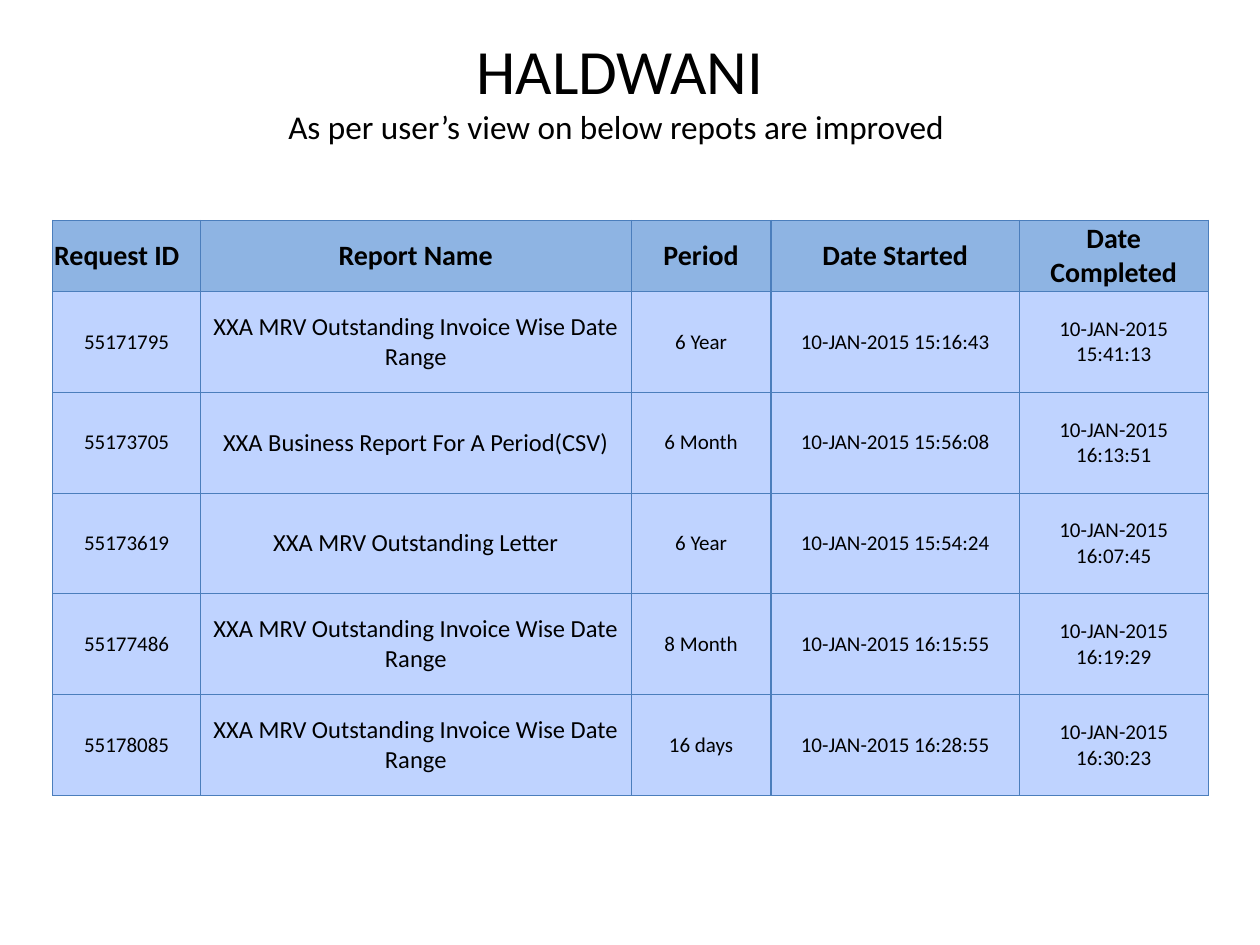
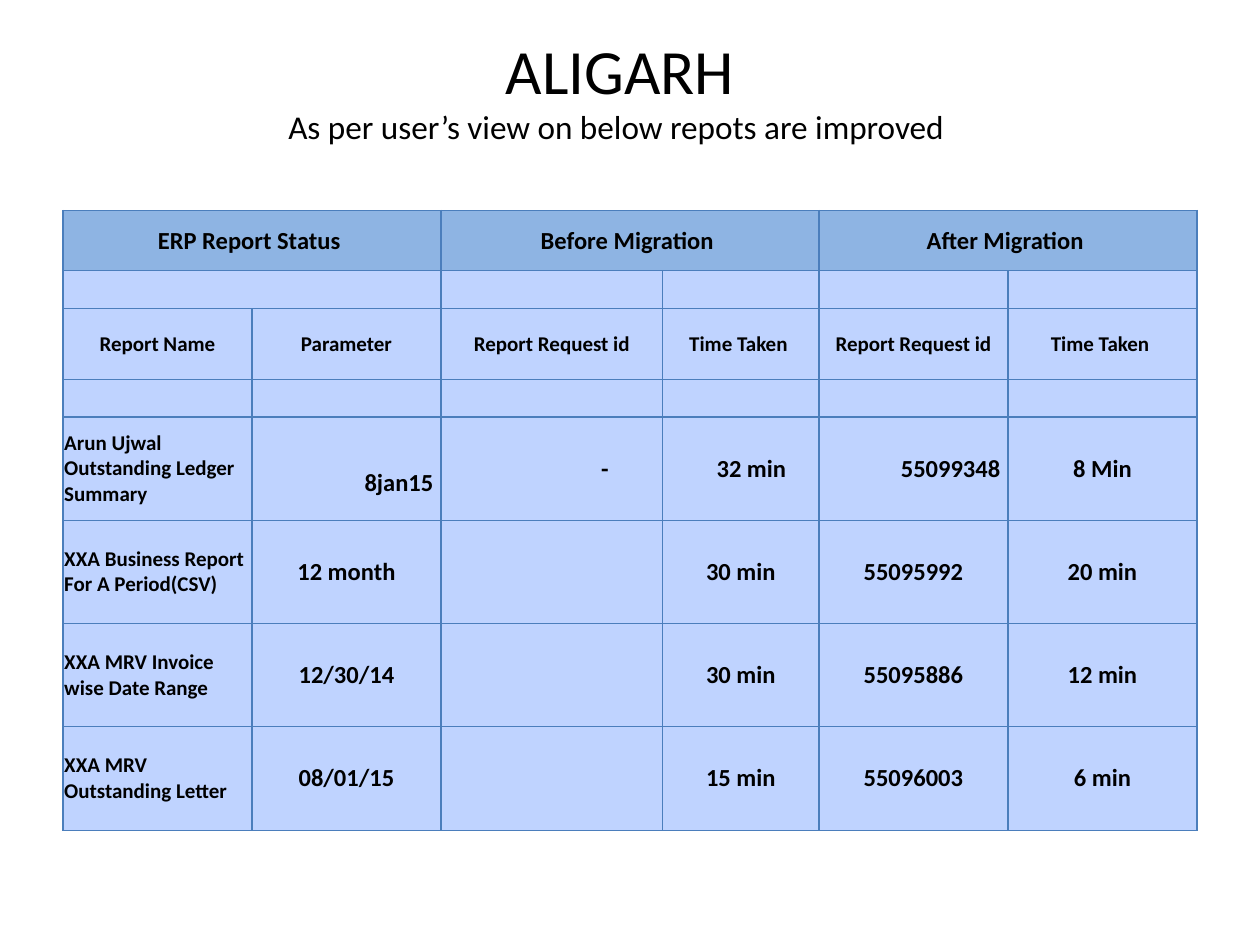
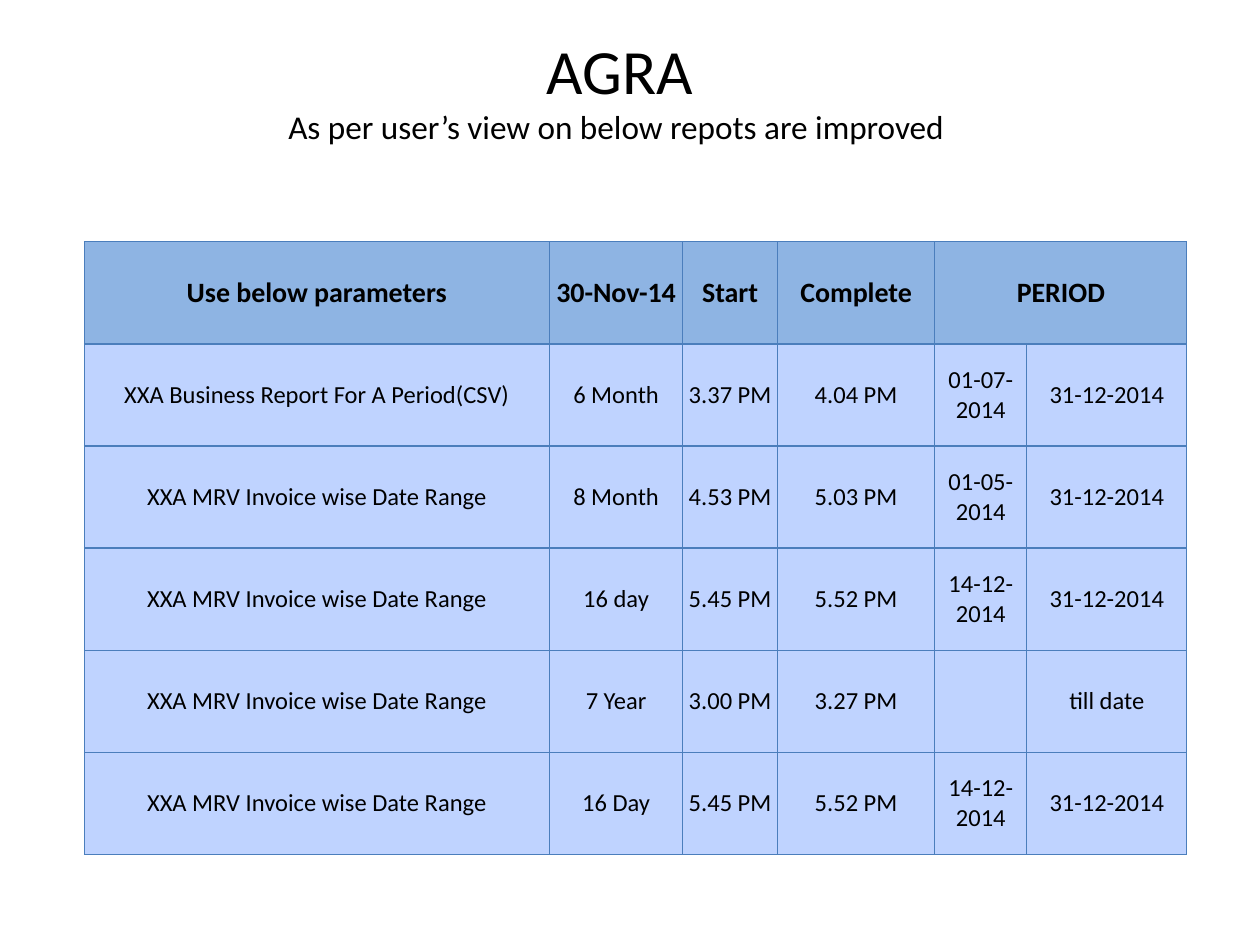
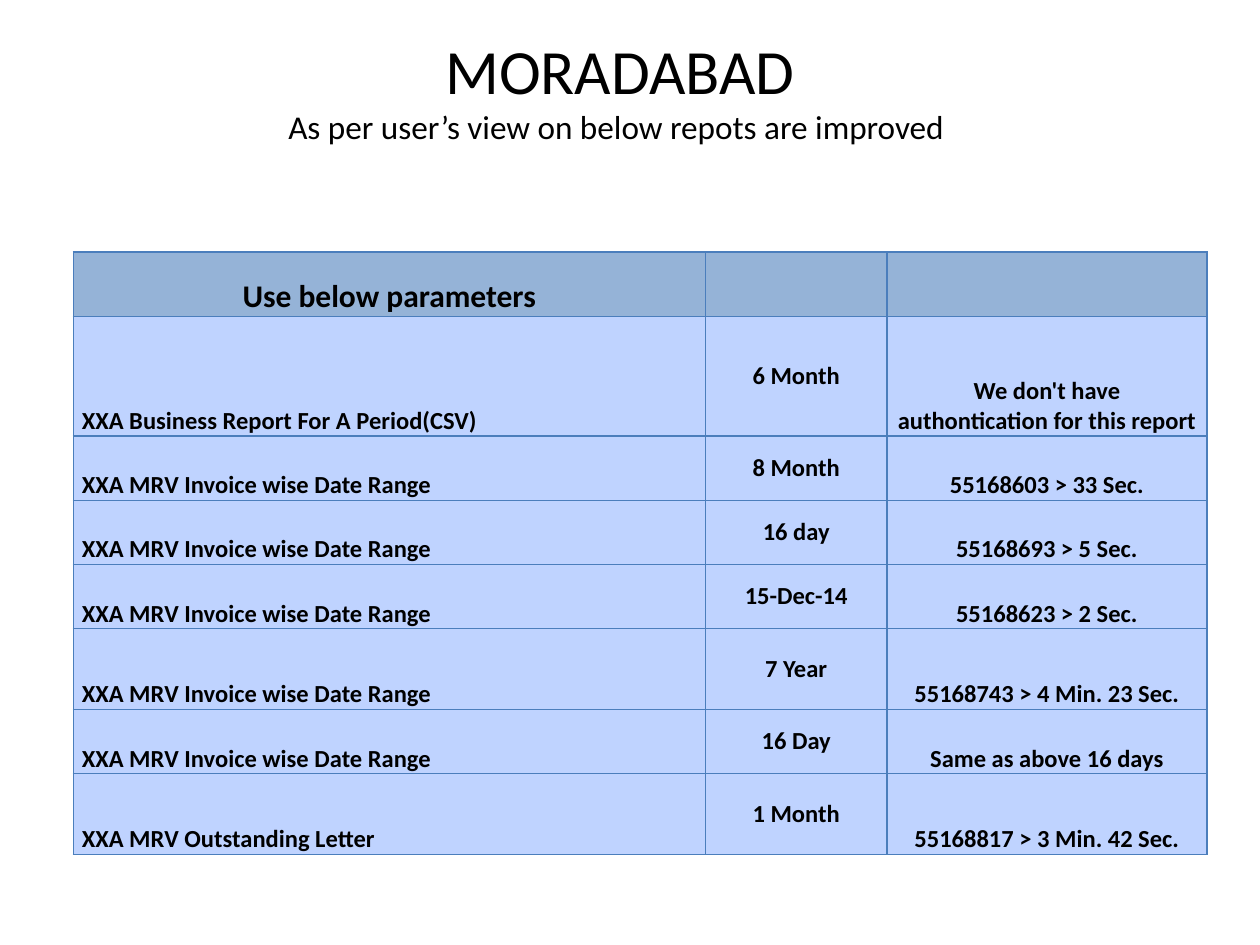
from lxml import etree
from pptx import Presentation
from pptx.dml.color import RGBColor
from pptx.enum.text import MSO_ANCHOR as Anchor, MSO_AUTO_SIZE as Fit, PP_ALIGN as Align
from pptx.oxml.ns import qn
from pptx.util import Inches, Pt

ALIGN = {"l": Align.LEFT, "c": Align.CENTER, "r": Align.RIGHT}
ANCHOR = {"m": Anchor.MIDDLE, "b": Anchor.BOTTOM}
NOTE = "As per user’s view on below repots are improved "
CSV = "XXA Business Report For A Period(CSV)"
WISE = "XXA MRV Outstanding Invoice Wise Date Range"
RANGE = "XXA MRV Invoice wise Date Range"
LETTER = "XXA MRV Outstanding Letter"


def color(code):
    return RGBColor.from_string(code)


class Deck:
    font = "Calibri"
    ink = "000000"
    line = "4B7EBC"
    head = "8EB4E3"
    body = "BFD3FF"

    def __init__(self):
        self.prs = Presentation()
        self.prs.slide_width, self.prs.slide_height = Inches(10), Inches(7.5)
        self.slide = None

    def style(self, para, size, bold=False, align="c"):
        para.alignment = ALIGN[align]
        font = para.font
        font.name, font.size, font.bold = self.font, Pt(size), bold
        font.color.rgb = color(self.ink)

    def page(self, city):
        """Start a slide with the city as title and the shared note under it."""
        self.slide = self.prs.slides.add_slide(self.prs.slide_layouts[5])
        title = self.slide.shapes.title
        title.left, title.top = Inches(0.42), Inches(0.5)
        title.width, title.height = Inches(9), Inches(1.25)
        frame = title.text_frame
        frame.text = f"{city}\n{NOTE}"
        frame.word_wrap, frame.auto_size = True, Fit.NONE
        frame.vertical_anchor = Anchor.MIDDLE
        frame.margin_bottom = Inches(0.89)
        for para, size in zip(frame.paragraphs, (36, 19)):
            self.style(para, size)

    def border(self, cell):
        props = cell._tc.get_or_add_tcPr()
        for side in ("lnL", "lnR", "lnT", "lnB"):
            edge = etree.SubElement(props, qn(f"a:{side}"), w=str(Pt(0.75)))
            fill = etree.SubElement(edge, qn("a:solidFill"))
            etree.SubElement(fill, qn("a:srgbClr"), val=self.line)

    def label(self, cell, text, size, bold, align, anchor="m"):
        cell.text = text
        cell.vertical_anchor = ANCHOR[anchor]
        para = cell.text_frame.paragraphs[0]
        self.style(para, size, bold, align)
        if not text:
            para._p.get_or_add_endParaRPr().set("sz", str(size * 100))

    def table(self, at, cols, rows, data, sizes, top, bold=False, aligns=None,
              heads=None, anchors=None, pad=(0, 0), head=None):
        """Draw a table; None in data joins a cell to the one on its left."""
        count = len(cols)
        aligns, heads = aligns or "c" * count, heads or "c" * count
        anchors = anchors or "m" * count
        box = self.slide.shapes.add_table(
            len(rows), count, Inches(at[0]), Inches(at[1]),
            Inches(sum(cols)), Inches(sum(rows)))
        grid = box.table
        grid.first_row = grid.horz_banding = False
        for col, width in zip(grid.columns, cols):
            col.width = Inches(width)
        for row, height in zip(grid.rows, rows):
            row.height = Inches(height)
        for y, line in enumerate(data):
            for x, text in enumerate(line):
                cell = grid.cell(y, x)
                self.border(cell)
                cell.fill.solid()
                cell.fill.fore_color.rgb = color(self.body if y else head or self.head)
                cell.margin_left = cell.margin_right = Inches(pad[0])
                cell.margin_top = cell.margin_bottom = Inches(pad[1])
                if text is None:
                    grid.cell(y, x - 1).merge(cell)
                elif y:
                    self.label(cell, text, sizes[x], bold, aligns[x], anchors[x])
                else:
                    self.label(cell, text, top, True, heads[x], anchors[0])
        return grid


def haldwani(deck):
    deck.page("HALDWANI")
    day = "10-JAN-2015 "
    runs = [
        ("55171795", WISE, "6 Year", "15:16:43", "15:41:13"),
        ("55173705", CSV, "6 Month", "15:56:08", "16:13:51"),
        ("55173619", LETTER, "6 Year", "15:54:24", "16:07:45"),
        ("55177486", WISE, "8 Month", "16:15:55", "16:19:29"),
        ("55178085", WISE, "16 days", "16:28:55", "16:30:23"),
    ]
    data = [("Request ID", "Report Name", "Period", "Date Started", "Date Completed")]
    data += [(*run[:3], day + run[3], day + run[4]) for run in runs]
    deck.table((0.42, 1.75), [1.17, 3.42, 1.11, 1.97, 1.5], [0.56] + [0.8] * 5,
               data, [12, 14, 12, 12, 12], 16, heads="lcccc", pad=(0.01, 0.01))


def aligarh(deck):
    deck.page("ALIGARH")
    pair = ("Report Request id", "Time Taken ")
    names = ("Report Name", "Parameter", *pair, *pair)
    data = [
        ("ERP Report Status ", None, "Before Migration ", None, "After Migration ", None),
        ("", None, "", "", "", ""),
        names,
        ("",) * 6,
        ("Arun Ujwal Outstanding Ledger Summary", "8jan15", "-", "32 min",
         "55099348", "8 Min"),
        (CSV, "12 month", "", "30 min", "55095992", "20 min"),
        (RANGE, "12/30/14", "", "30 min", "55095886", "12 min"),
        (LETTER, "08/01/15", "", "15 min", "55096003", "6 min"),
    ]
    grid = deck.table((0.5, 1.67), [1.5, 1.5, 1.76, 1.24, 1.5, 1.5],
                      [0.48, 0.3, 0.56, 0.3] + [0.82] * 4, data, [12] + [14] * 5, 14,
                      bold=True, aligns="lccccc", pad=(0.01, 0.01))
    for x, name in enumerate(names):
        deck.label(grid.cell(2, x), name, 12, True, "c")
    for x, gap in zip(range(1, 5), (0.06, 0.43, 0.26, 0.06)):
        cell = grid.cell(4, x)
        cell.text_frame.paragraphs[0].alignment = Align.RIGHT
        cell.margin_right = Inches(gap)
    grid.cell(4, 1).margin_top = Inches(0.24)


def agra(deck):
    deck.page("AGRA")
    end = "31-12-2014"
    data = [
        ("Use below parameters", "30-Nov-14", "Start", "Complete", "PERIOD", None),
        (CSV, "6 Month", "3.37 PM", "4.04 PM", "01-07-2014", end),
        (RANGE, "8 Month", "4.53 PM", "5.03 PM", "01-05-2014", end),
        (RANGE, "16 day", "5.45 PM", "5.52 PM", "14-12-2014", end),
        (RANGE, "7 Year", "3.00 PM", "3.27 PM", "", "till date"),
        (RANGE, "16 Day", "5.45 PM", "5.52 PM", "14-12-2014", end),
    ]
    deck.table((0.67, 1.92), [3.69, 1.06, 0.75, 1.25, 0.73, 1.27], [0.81] * 6,
               data, [14] * 6, 16)


def moradabad(deck):
    deck.page("MORADABAD")
    data = [
        ("Use below parameters", "", ""),
        (CSV, "6 Month", "We don't have authontication for this report"),
        (RANGE, "8 Month", "55168603 > 33 Sec."),
        (RANGE, "16 day", "55168693 > 5 Sec."),
        (RANGE, "15-Dec-14", "55168623 > 2 Sec."),
        (RANGE, "7 Year", "55168743 > 4 Min. 23 Sec."),
        (RANGE, "16 Day", "Same as above 16 days"),
        (LETTER, "1 Month", "55168817 > 3 Min. 42 Sec."),
    ]
    deck.table((0.58, 2), [5.02, 1.44, 2.54],
               [0.51, 0.95, 0.51, 0.51, 0.51, 0.64, 0.51, 0.64], data, [14] * 3, 18,
               bold=True, aligns="lcc", anchors="bmb", pad=(0.07, 0), head="95B3D7")


def main():
    deck = Deck()
    for build in (haldwani, aligarh, agra, moradabad):
        build(deck)
    deck.prs.save("out.pptx")


if __name__ == "__main__":
    main()
